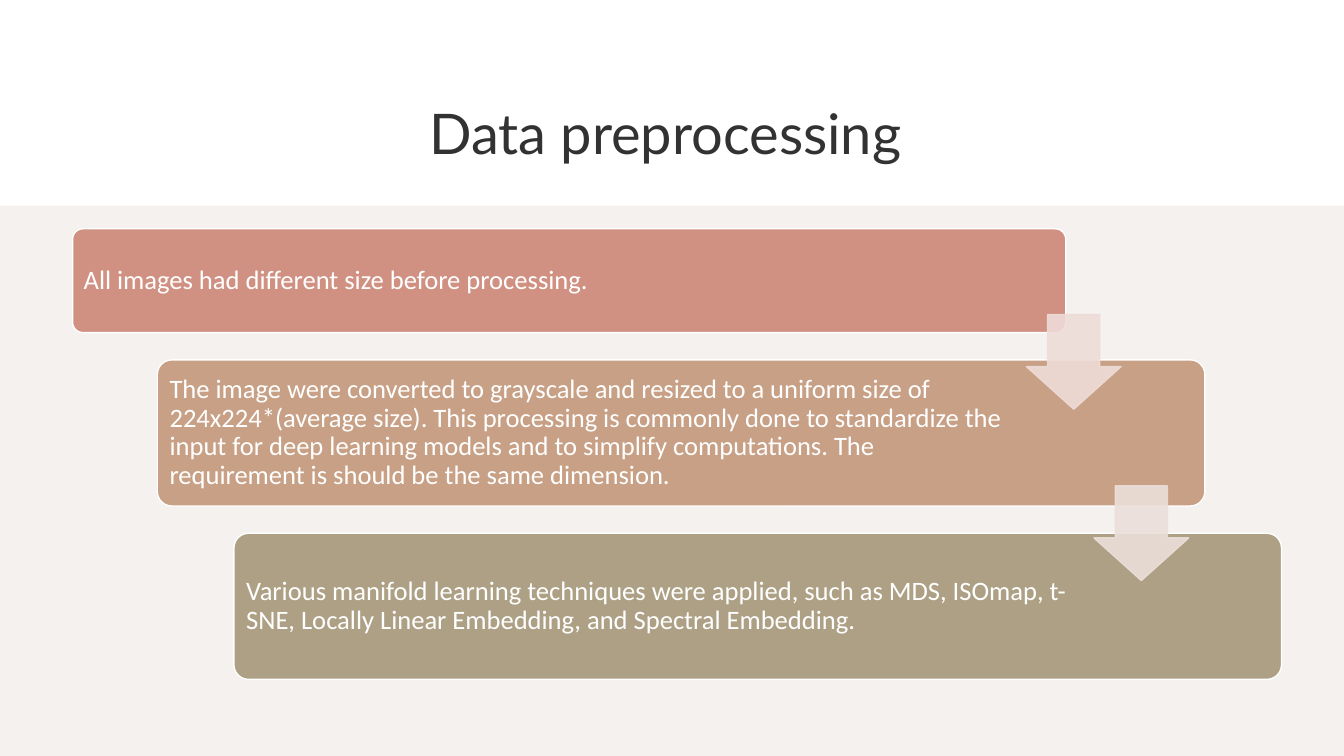
from lxml import etree
from pptx import Presentation
from pptx import util as u
from pptx.dml.color import RGBColor
from pptx.enum import shapes, text
from pptx.oxml.ns import qn

WHITE = RGBColor(0xFF, 0xFF, 0xFF)
INK = RGBColor(0x32, 0x32, 0x32)
BAND = RGBColor(0xF4, 0xF1, 0xEF)
ROSE = RGBColor(0xD0, 0x91, 0x82)
TAN = RGBColor(0xC7, 0xA0, 0x85)
OLIVE = RGBColor(0xAD, 0xA0, 0x85)
PALE_ROSE = RGBColor(0xEE, 0xDC, 0xD8)
PALE_TAN = RGBColor(0xEB, 0xDF, 0xD9)

# Offset in the flow, size, right text margin, fill, wording
STEPS = [
    (0, 0, 9.85, 1.03, 1.48, ROSE, "All images had different size before processing."),
    (0.84, 1.3, 10.39, 1.45, 1.94, TAN,
     "The image were converted to grayscale and resized to a uniform size of "
     "224x224*(average size). This processing is commonly done to standardize the "
     "input for deep learning models and to simplify computations. The "
     "requirement is should be the same dimension."),
    (1.6, 3.02, 10.39, 1.45, 1.94, OLIVE,
     "Various manifold learning techniques were applied, such as MDS, ISOmap, "
     "t-SNE, Locally Linear Embedding, and Spectral Embedding."),
]
# Offset in the flow, fill
ARROWS = [(9.46, 0.85, PALE_ROSE), (10.13, 2.55, PALE_TAN)]
ARROW_SIZE = 0.94


def add_block(page, kind, left, top, width, height, fill):
    block = page.shapes.add_shape(
        kind, u.Inches(left), u.Inches(top), u.Inches(width), u.Inches(height))
    block.shadow.inherit = False
    block.fill.solid()
    block.fill.fore_color.rgb = fill
    block.line.fill.background()
    return block


def set_line(block, color):
    block.line.color.rgb = color
    block.line.width = u.Pt(1)


def add_title(page, left, top, width, height):
    title = page.shapes.title
    title.left, title.top = u.Inches(left), u.Inches(top)
    title.width, title.height = u.Inches(width), u.Inches(height)
    title.text_frame.text = "Data preprocessing "
    title.text_frame.vertical_anchor = text.MSO_ANCHOR.MIDDLE
    para = title.text_frame.paragraphs[0]
    para.alignment = text.PP_ALIGN.CENTER
    para.font.name = "Lato"
    para.font.size = u.Pt(40)
    para.font.color.rgb = INK


def add_step(page, left, top, width, height, right_margin, fill, wording):
    step = add_block(page, shapes.MSO_SHAPE.ROUNDED_RECTANGLE,
                     left, top, width, height, fill)
    step.adjustments[0] = 0.1
    set_line(step, WHITE)
    frame = step.text_frame
    frame.word_wrap = True
    frame.vertical_anchor = text.MSO_ANCHOR.MIDDLE
    frame.margin_left = frame.margin_top = frame.margin_bottom = u.Inches(0.08)
    frame.margin_right = u.Inches(right_margin)
    frame.text = wording
    para = frame.paragraphs[0]
    para.alignment = text.PP_ALIGN.LEFT
    para.line_spacing = 0.9
    para.font.name = "Calibri"
    para.font.size = u.Pt(19)
    para.font.color.rgb = WHITE


def add_arrow(page, left, top, fill):
    arrow = add_block(page, shapes.MSO_SHAPE.DOWN_ARROW,
                      left, top, ARROW_SIZE, ARROW_SIZE, fill)
    arrow.adjustments[0] = 0.55
    arrow.adjustments[1] = 0.45
    set_line(arrow, fill)
    # Fill and outline are both 90% opaque
    for color in arrow.element.spPr.iter(qn("a:srgbClr")):
        etree.SubElement(color, qn("a:alpha")).set("val", "90000")


def add_flow(page, left, top):
    for dx, dy, *details in STEPS:
        add_step(page, left + dx, top + dy, *details)
    for dx, dy, fill in ARROWS:
        add_arrow(page, left + dx, top + dy, fill)


def main():
    deck = Presentation()
    deck.slide_width, deck.slide_height = u.Inches(13.33), u.Inches(7.5)
    page = deck.slides.add_slide(deck.slide_layouts[5])
    page.background.fill.solid()
    page.background.fill.fore_color.rgb = WHITE

    # Heading
    add_title(page, 1.56, 0.77, 10.22, 1.09)
    # Tinted band behind the flow
    add_block(page, shapes.MSO_SHAPE.RECTANGLE, 0, 2.04, 13.33, 5.46, BAND)
    # Staggered steps joined by arrows
    add_flow(page, 0.72, 2.27)

    deck.save("out.pptx")


if __name__ == "__main__":
    main()
